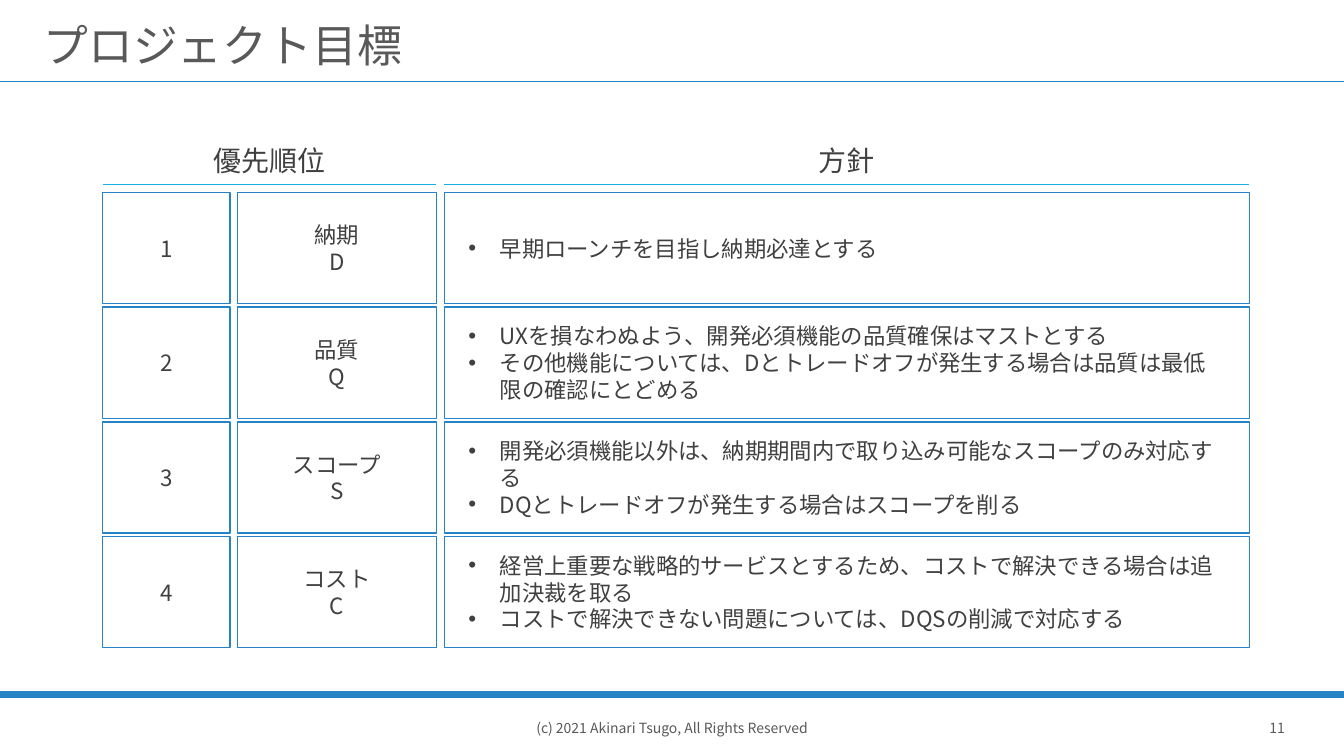
from dataclasses import dataclass

from lxml import etree
from pptx import Presentation
from pptx import util as u
from pptx.dml.color import RGBColor
from pptx.enum import shapes, text
from pptx.oxml import ns

Pt = u.Pt
BLUE = RGBColor(0x26, 0x83, 0xC6)
CYAN = RGBColor(0x1C, 0xAD, 0xE4)
WHITE = RGBColor(0xFF, 0xFF, 0xFF)
DARK = RGBColor(0x40, 0x40, 0x40)
GRAY = RGBColor(0x59, 0x59, 0x59)
FONT = "Noto Sans CJK JP"
LEFT, MID = text.PP_ALIGN.LEFT, text.PP_ALIGN.CENTER
TOP, STEP, HIGH = 137.5, 81.9, 79.5
HANG = 22.5


@dataclass
class Goal:
    name: str
    plan: str


@dataclass
class Col:
    left: float
    wide: float


@dataclass
class Label:
    words: str
    left: float
    top: float
    wide: float
    high: float
    size: float
    color: RGBColor
    align: text.PP_ALIGN = MID
    anchor: text.MSO_ANCHOR = text.MSO_ANCHOR.MIDDLE
    wrap: bool = True
    pads: tuple[float, ...] = (7.2, 3.6, 7.2, 3.6)
    space: float = 1.0


@dataclass
class Rule:
    left: float
    right: float
    top: float
    color: RGBColor
    width: float


RANK, NAME, PLAN = Col(73.4, 90.9), Col(169.7, 142), Col(317.5, 575)

GOALS = [
    Goal("納期\nD", "早期ローンチを目指し納期必達とする"),
    Goal("品質\nQ", "UXを損なわぬよう、開発必須機能の品質確保はマストとする\n"
         "その他機能については、Dとトレードオフが発生する場合は品質は最低限の確認にとどめる"),
    Goal("スコープ\nS", "開発必須機能以外は、納期期間内で取り込み可能なスコープのみ対応する\n"
         "DQとトレードオフが発生する場合はスコープを削る"),
    Goal("コスト\nC", "経営上重要な戦略的サービスとするため、コストで解決できる場合は追加決裁を取る\n"
         "コストで解決できない問題については、DQSの削減で対応する"),
]

RULES = [
    Rule(0, 960, 58, BLUE, 1),
    Rule(0, 960, 496, BLUE, 4.5),
    Rule(73.4, 311.7, 131.5, CYAN, 0.5),
    Rule(317.5, 892.5, 131.5, CYAN, 0.5),
]

LABELS = [
    Label("プロジェクト目標", 24, 4.3, 912, 49.7, 32, GRAY, LEFT,
          pads=(7.2, 14.4, 7.2, 3.6), space=0.9),
    Label("優先順位", 73.4, 98.6, 238.3, 31.5, 20, DARK, anchor=text.MSO_ANCHOR.TOP),
    Label("方針", 317.5, 98.6, 575, 31.5, 20, DARK, anchor=text.MSO_ANCHOR.TOP),
    Label("(c) 2021 Akinari Tsugo, All Rights Reserved",
          332.8, 500.4, 294.4, 39.6, 10, GRAY, wrap=False),
    Label("11", 888.5, 500.4, 47.5, 39.6, 10, GRAY, wrap=False),
]


def add_dot(para) -> None:
    props = para._p.get_or_add_pPr()
    props.set("marL", str(Pt(HANG)))
    props.set("indent", str(-Pt(HANG)))
    etree.SubElement(props, ns.qn("a:buFont"), typeface="Arial")
    etree.SubElement(props, ns.qn("a:buChar"), char="•")


def set_text(frame, words: str, size: float, color: RGBColor, align: text.PP_ALIGN,
             pads: tuple[float, ...], dots: bool = False, space: float = 1.0) -> None:
    frame.text = words
    (frame.margin_left, frame.margin_top,
     frame.margin_right, frame.margin_bottom) = map(Pt, pads)
    for para in frame.paragraphs:
        para.alignment = align
        para.line_spacing = space
        if dots:
            add_dot(para)
        for run in para.runs:
            run.font.size = Pt(size)
            run.font.color.rgb = color
            run.font.name = FONT
            etree.SubElement(run._r.get_or_add_rPr(), ns.qn("a:ea"), typeface=FONT)


def add_rule(slide, rule: Rule) -> None:
    line = slide.shapes.add_connector(
        shapes.MSO_CONNECTOR.STRAIGHT,
        Pt(rule.left), Pt(rule.top), Pt(rule.right), Pt(rule.top))
    line.line.color.rgb = rule.color
    line.line.width = Pt(rule.width)
    etree.SubElement(line._element.spPr, ns.qn("a:effectLst"))


def add_label(slide, label: Label) -> None:
    box = slide.shapes.add_textbox(
        Pt(label.left), Pt(label.top), Pt(label.wide), Pt(label.high))
    frame = box.text_frame
    frame.word_wrap = label.wrap
    frame.vertical_anchor = label.anchor
    set_text(frame, label.words, label.size, label.color, label.align,
             label.pads, space=label.space)


def add_cell(slide, col: Col, row: int, words: str, dots: bool = False) -> None:
    cell = slide.shapes.add_shape(
        shapes.MSO_SHAPE.RECTANGLE,
        Pt(col.left), Pt(TOP + row * STEP), Pt(col.wide), Pt(HIGH))
    cell.shadow.inherit = False
    cell.fill.solid()
    cell.fill.fore_color.rgb = WHITE
    cell.line.color.rgb = BLUE
    cell.line.width = Pt(1)
    frame = cell.text_frame
    frame.word_wrap = True
    frame.vertical_anchor = text.MSO_ANCHOR.MIDDLE
    set_text(frame, words, 16, DARK, LEFT if dots else MID,
             (17, 5.7, 17, 5.7), dots)


def main() -> None:
    deck = Presentation()
    deck.slide_width, deck.slide_height = Pt(960), Pt(540)
    slide = deck.slides.add_slide(deck.slide_layouts[6])
    for rule in RULES:
        add_rule(slide, rule)
    for label in LABELS:
        add_label(slide, label)
    for row, goal in enumerate(GOALS):
        add_cell(slide, RANK, row, str(row + 1))
        add_cell(slide, NAME, row, goal.name)
        add_cell(slide, PLAN, row, goal.plan, dots=True)
    deck.save("out.pptx")


if __name__ == "__main__":
    main()
